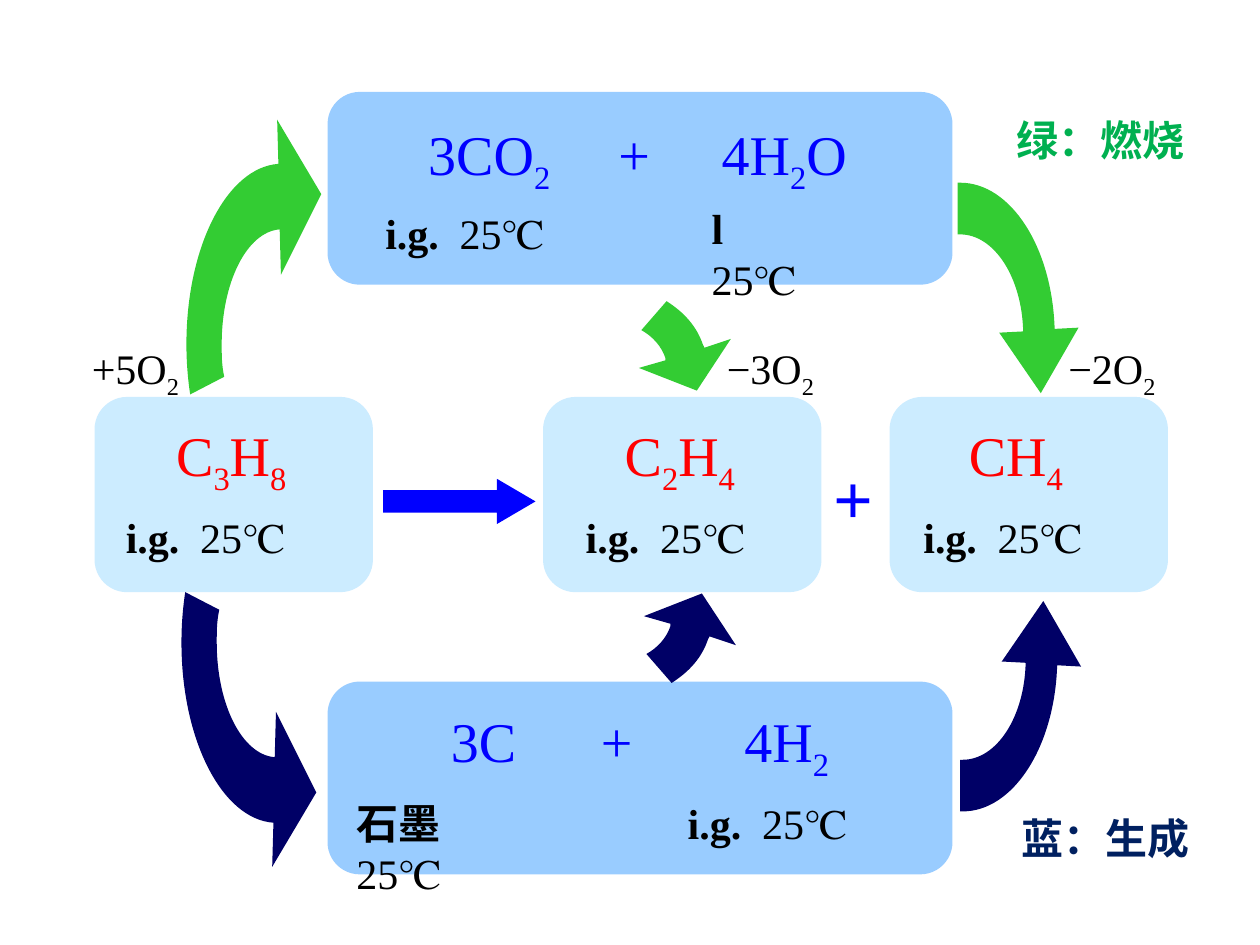
import math

from lxml import etree
from pptx import Presentation
from pptx.dml.color import RGBColor
from pptx.enum.shapes import MSO_SHAPE
from pptx.enum.text import MSO_AUTO_SIZE
from pptx.oxml.ns import qn
from pptx.util import Inches, Pt

ROUNDED = MSO_SHAPE.ROUNDED_RECTANGLE
RIGHT_ARROW = MSO_SHAPE.RIGHT_ARROW
FIT_SHAPE = MSO_AUTO_SIZE.SHAPE_TO_FIT_TEXT
FONT = "Times New Roman"
COLORS = {
    "pale": "CCECFF", "sky": "99CCFF", "blue": "0000FF", "red": "FF0000",
    "black": "000000", "green": "33CC33", "navy": "000066",
    "green_text": "00B050", "navy_text": "002060",
}

prs = Presentation()
prs.slide_width, prs.slide_height = Inches(10), Inches(7.5)
s = prs.slides.add_slide(prs.slide_layouts[6])


def paint(sp, color):
    sp.shadow.inherit = False
    sp.fill.solid()
    sp.fill.fore_color.rgb = RGBColor.from_string(COLORS[color])
    sp.line.fill.background()


def add_text(x, y, w, h, parts, size, color, tabs=(), inset=0):
    tf = s.shapes.add_textbox(Inches(x), Inches(y), Inches(w), Inches(h)).text_frame
    tf.word_wrap = True
    tf.auto_size = FIT_SHAPE
    tf.margin_right = Inches(inset)
    p = tf.paragraphs[0]
    if tabs:
        tab_list = etree.SubElement(p._p.get_or_add_pPr(), qn("a:tabLst"))
        for pos in tabs:
            etree.SubElement(tab_list, qn("a:tab"), pos=str(Inches(pos)), algn="l")
    for text, bold in parts:
        head, *tails = text.split("_")
        pieces = [(head, False)]
        for tail in tails:
            pieces += [(tail[0], True), (tail[1:], False)]
        for piece, subscript in pieces:
            if piece:
                r = p.add_run()
                r.text = piece
                r.font.name = FONT
                r.font.size = Pt(size)
                r.font.bold = bold
                r.font.color.rgb = RGBColor.from_string(COLORS[color])
                if subscript:
                    r.font._element.set("baseline", "-25000")


boxes = [(x, 3.15, 2.21, 1.55, "pale") for x in (0.75, 7.06, 4.31)]
boxes += [(2.6, y, 4.96, 1.53, "sky") for y in (0.73, 5.41)]
for x, y, w, h, color in boxes:
    sp = s.shapes.add_shape(ROUNDED, Inches(x), Inches(y), Inches(w), Inches(h))
    sp.adjustments[0] = 0.167
    paint(sp, color)

add_text(6.52, 3.56, 0.52, 0.77, [("+", True)], 40, "blue")
sp = s.shapes.add_shape(RIGHT_ARROW, Inches(3.04), Inches(3.8), Inches(1.21), Inches(0.36))
sp.adjustments[0], sp.adjustments[1] = 0.5, 0.853
paint(sp, "blue")

formulas = [
    (1.3, 3.29, 1.16, "C_3H_8", "red", ()),
    (4.86, 3.29, 1.16, "C_2H_4", "red", ()),
    (7.59, 3.29, 1.01, "CH_4", "red", ()),
    (3.3, 0.9, 3.7, "3CO_2\t+\t4H_2O", "blue", (1.51, 2.33)),
    (3.48, 5.56, 3.27, "3C\t+\t4H_2", "blue", (1.19, 2.33)),
]
for x, y, w, text, color, tabs in formulas:
    add_text(x, y, w, 0.64, [(text, False)], 32, color, tabs)

for x, y in [(0.9, 4.01), (4.55, 4.01), (7.23, 4.01), (2.96, 1.6), (5.36, 6.28)]:
    add_text(x, y, 1.48, 0.51, [("i.g.\t", True), ("25℃", False)], 24, "black", (0.59,))
for x, y, w, phase in [(5.55, 1.56, 1.15, "l "), (2.73, 6.28, 1.73, "石墨 ")]:
    add_text(x, y, w, 0.51, [(phase, True), ("25℃", False)], 24, "black", inset=0.3)

curved_arrows = [
    ((2.86, 1.53), (0.81, 1.97, 270), (0.77, 4.34, 90), -0.04, 7.83, [
        (2.22, 1.82), (1.96, 1.84, 1.76, 2.24, 1.76, 2.73),
        (1.76, 2.82, 1.76, 2.9, 1.78, 2.99), (1.51, 3.13),
        (1.49, 3, 1.48, 2.87, 1.48, 2.73), (1.48, 1.96, 1.8, 1.33, 2.21, 1.3),
        (2.2, 0.95), (2.55, 1.54), (2.23, 2.18), (2.22, 1.82)]),
    ((1.51, 2.42), (6.86, 1.45, 180), (6.89, 4.01, 180), 0.02, 7.89, [
        (8.12, 2.63), (8.11, 2.2, 7.89, 1.86, 7.62, 1.86),
        (7.61, 1.86, 7.61, 1.86, 7.6, 1.86), (7.6, 1.45),
        (7.6, 1.45, 7.61, 1.45, 7.62, 1.45), (8.02, 1.45, 8.35, 1.96, 8.37, 2.61),
        (8.56, 2.6), (8.26, 3.12), (7.93, 2.64), (8.12, 2.63)]),
    ((1.8, 1.45), (3.84, 2.31, 160.6), (3.88, 4.05, 199.4), 0.04, 7.81, [
        (5.28, 2.86), (5.28, 2.85, 5.28, 2.85, 5.28, 2.84),
        (5.25, 2.75, 5.18, 2.67, 5.09, 2.62), (5.29, 2.39),
        (5.43, 2.48, 5.53, 2.59, 5.58, 2.74), (5.58, 2.74, 5.59, 2.75, 5.59, 2.76),
        (5.8, 2.69), (5.53, 3.1), (5.07, 2.92), (5.28, 2.86)]),
]
for (w, h), green_frame, navy_frame, shift, mirror, segments in curved_arrows:
    for frame, color in [(green_frame, "green"), (navy_frame, "navy")]:
        left, top, angle = frame
        cos, sin = math.cos(math.radians(angle)), math.sin(math.radians(angle))
        builder = s.shapes.build_freeform(0, 0)
        builder.add_line_segments([(Inches(w), Inches(h))], close=True)
        sp = builder.convert_to_shape()
        sp.left, sp.top, sp.width, sp.height = (Inches(v) for v in (left, top, w, h))
        sp.rotation = angle
        paint(sp, color)
        outline = sp._element.spPr.find(".//" + qn("a:path"))
        for child in list(outline):
            outline.remove(child)
        outline.set("w", str(Inches(w)))
        outline.set("h", str(Inches(h)))
        for i, segment in enumerate(segments):
            tag = "a:moveTo" if i == 0 else "a:lnTo" if len(segment) == 2 else "a:cubicBezTo"
            step = etree.SubElement(outline, qn(tag))
            for x, y in zip(segment[::2], segment[1::2]):
                if color == "navy":
                    x, y = x + shift, mirror - y
                dx, dy = x - left - w / 2, y - top - h / 2
                etree.SubElement(step, qn("a:pt"),
                                 x=str(Inches(w / 2 + dx * cos + dy * sin)),
                                 y=str(Inches(h / 2 - dx * sin + dy * cos)))
        etree.SubElement(outline, qn("a:close"))

for x, text in [(0.63, "+5O_2"), (5.67, "−3O_2"), (8.38, "−2O_2")]:
    add_text(x, 2.67, 0.92, 0.51, [(text, False)], 24, "black")

for x, y, text, color in [(7.97, 0.86, "绿：燃烧", "green_text"),
                          (8.01, 6.4, "蓝：生成", "navy_text")]:
    add_text(x, y, 1.65, 0.51, [(text, True)], 24, color)

prs.save("out.pptx")
